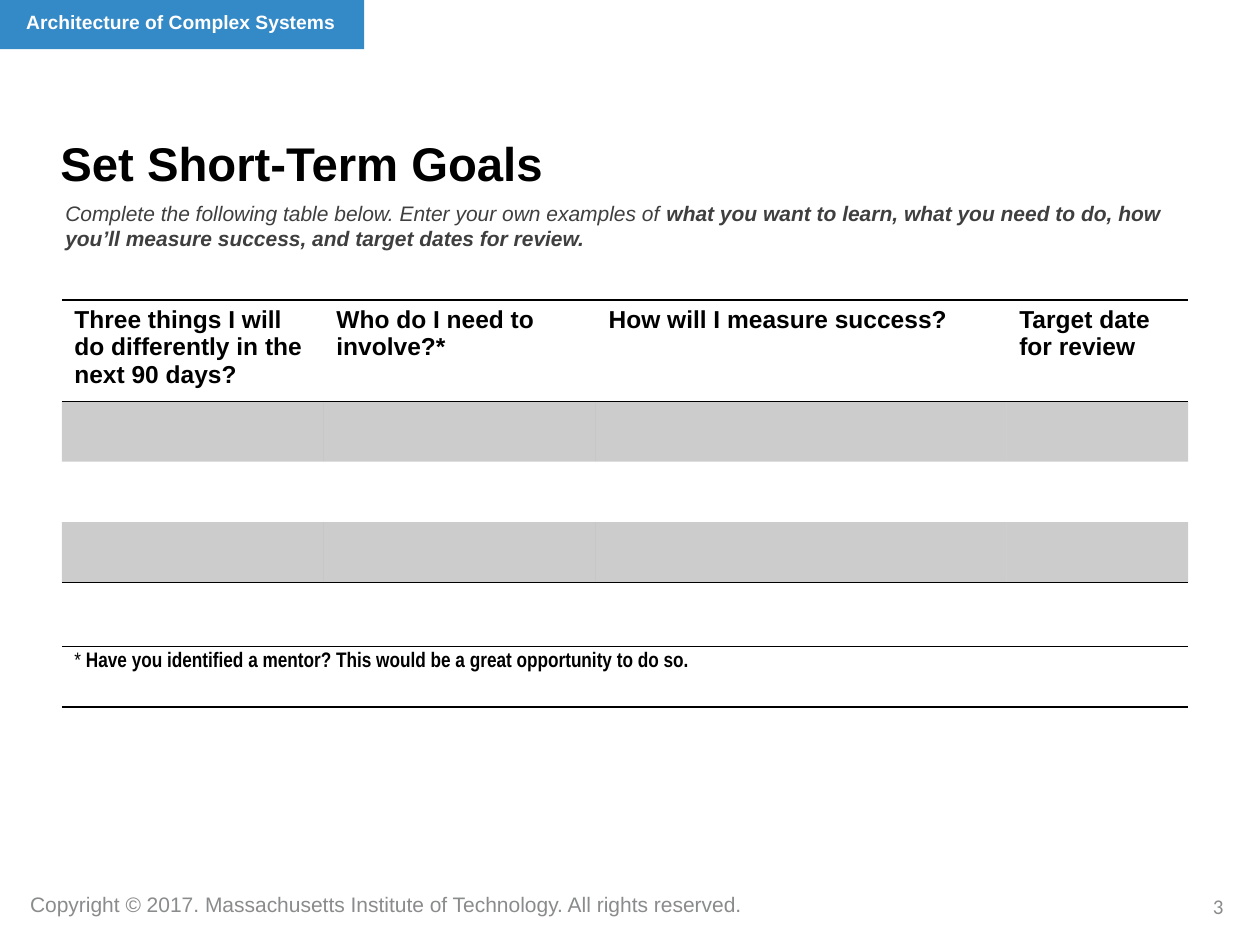
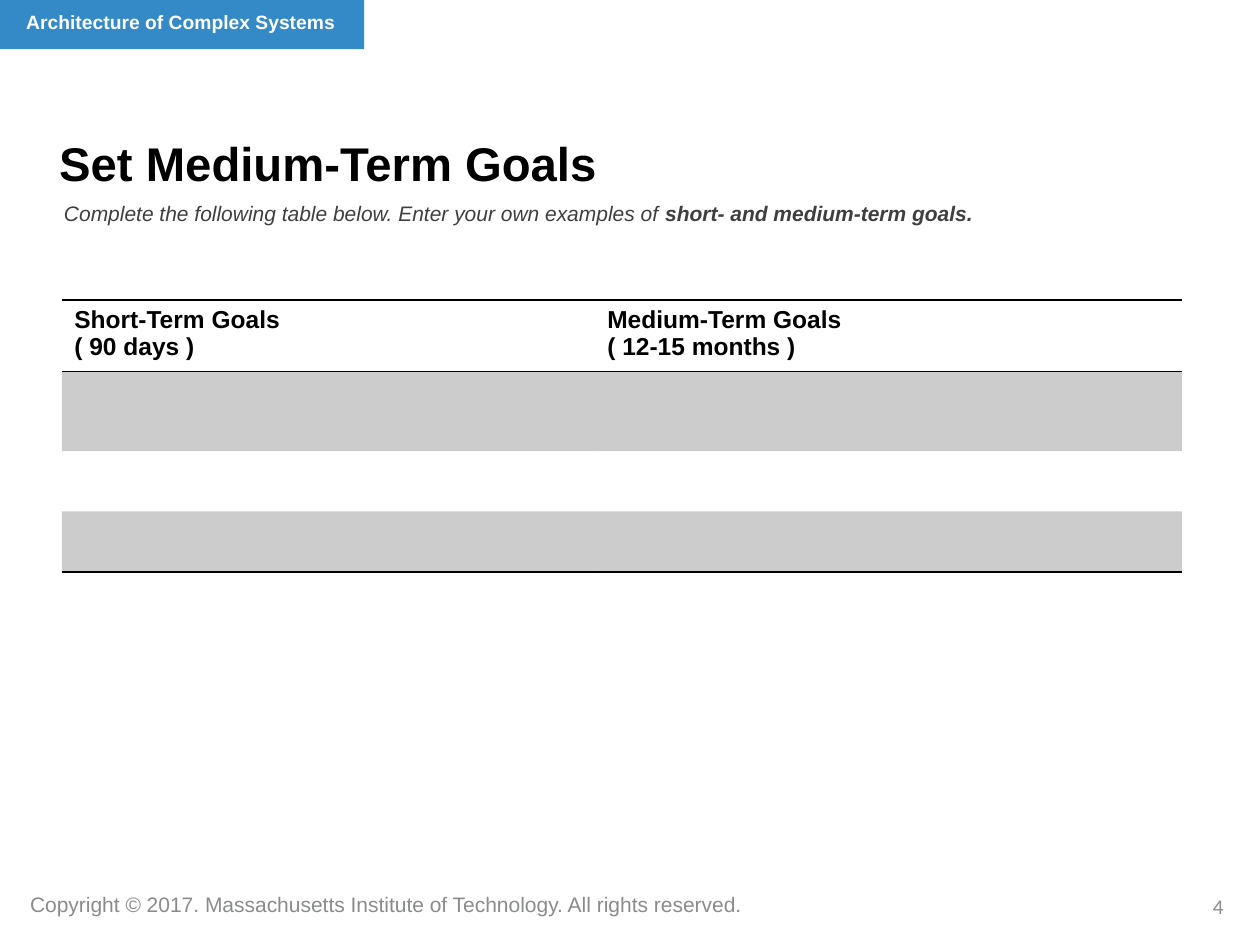
from pptx import Presentation
from pptx.dml.color import RGBColor as Rgb
from pptx.enum.shapes import MSO_SHAPE as Form
from pptx.enum.text import MSO_ANCHOR as Anchor, PP_ALIGN as Align
from pptx.oxml.ns import qn
from pptx.util import Inches, Pt
from lxml.etree import SubElement, Element

INK = {"band": "3489C7", "white": "FFFFFF", "black": "000000",
       "lead": "3F3F3F", "foot": "8A8B8C"}
PLAIN_STYLE = "{2D5ABB26-0587-4C30-8999-92F81FD0307C}"

# Grid of 100 columns by 75 rows over the slide
WIDE, HIGH = Inches(10), Inches(7.5)
COL, ROW = WIDE / 100, HIGH / 75
LEFT = 4.9
LINE = 4.8

COURSE = "Architecture of Complex Systems"
RIGHTS = "Copyright © 2017. Massachusetts Institute of Technology. All rights reserved."
LEAD = "Complete the following table below. Enter your own examples of "
MENTOR = "Have you identified a mentor? This would be a great opportunity to do so."


def place(box):
    x, y, w, h = box
    return int(x * COL), int(y * ROW), int(w * COL), int(h * ROW)


def add_run(para, text, size, ink, bold=False, italic=False, face="Arial"):
    run = para.add_run()
    run.text = text
    font = run.font
    font.name, font.size, font.bold, font.italic = face, Pt(size), bold, italic
    font.color.rgb = Rgb.from_string(INK[ink])


def add_text(slide, box):
    """Add a wrapped text box and return its first paragraph."""
    frame = slide.shapes.add_textbox(*place(box)).text_frame
    frame.word_wrap = True
    return frame.paragraphs[0]


def add_frame(slide, number):
    """Add the course band, the copyright line and the slide number."""
    band = slide.shapes.add_shape(Form.RECTANGLE, *place((-0.1, 0, 29, 3.9)))
    band.shadow.inherit = False
    band.fill.solid()
    band.fill.fore_color.rgb = Rgb.from_string(INK["band"])
    band.line.fill.background()
    add_run(add_text(slide, (1.1, 0.3, 27.9, 5.8)), COURSE, 11, "white", bold=True)
    add_run(add_text(slide, (1.4, 70.3, 59.6, 3)), RIGHTS, 12, "foot")
    page = add_text(slide, (74.8, 70.4, 23.3, 4))
    page.alignment = Align.RIGHT
    add_run(page, str(number), 12, "foot", face="Calibri")


def add_heading(slide, x, title, stress):
    head = slide.shapes.title
    head.left, head.top, head.width, head.height = place((x, 10, 85.1, 5.8))
    head.fill.solid()
    head.fill.fore_color.rgb = Rgb.from_string(INK["white"])
    head.text_frame.vertical_anchor = Anchor.MIDDLE
    para = head.text_frame.paragraphs[0]
    para.alignment = Align.LEFT
    add_run(para, title, 27, "black", bold=True)
    lead = add_text(slide, (x + 0.4, 15.4, 92.3, 4.9))
    add_run(lead, LEAD, 12, "lead", italic=True)
    add_run(lead, stress, 12, "lead", bold=True, italic=True)


def rule(cell, *sides):
    """Draw 1 pt black lines on the given sides, ahead of the cell's fill."""
    props = cell._tc.get_or_add_tcPr()
    for spot, side in enumerate(sides):
        line = Element(qn("a:ln" + side), w=str(Pt(1)))
        fill = SubElement(line, qn("a:solidFill"))
        SubElement(fill, qn("a:srgbClr"), val=INK["black"])
        props.insert(spot, line)


def shade(cell):
    """Fill the cell with black at 20 % opacity."""
    cell.fill.solid()
    cell.fill.fore_color.rgb = Rgb.from_string(INK["black"])
    tint = cell._tc.tcPr.find(".//" + qn("a:srgbClr"))
    SubElement(tint, qn("a:alpha"), val="20000")


def add_grid(slide, top, cols, rows):
    box = place((LEFT, top, sum(cols), sum(rows)))
    table = slide.shapes.add_table(len(rows), len(cols), *box).table
    table.horz_banding = False
    table._tbl.tblPr.find(qn("a:tableStyleId")).text = PLAIN_STYLE
    for col, size in zip(table.columns, cols):
        col.width = int(size * COL)
    for row, size in zip(table.rows, rows):
        row.height = int(size * ROW)
    for cell in table.iter_cells():
        cell.fill.background()
    return table


def add_goals(slide, heads, cols, rows):
    """Add a table with a ruled header and empty rows, every other one shaded."""
    table = add_grid(slide, 23.8, cols, rows)
    last = len(rows) - 1
    for c, head in enumerate(heads):
        para = table.cell(0, c).text_frame.paragraphs[0]
        for n, text in enumerate(head.split("\n")):
            if n:
                para.add_line_break()
            add_run(para, text, 14, "black", bold=True)
        for r in range(1, last + 1, 2):
            shade(table.cell(r, c))
        rule(table.cell(0, c), "T", "B")
        rule(table.cell(last, c), "B")


def add_mentor(slide, width):
    cell = add_grid(slide, 51.3, [width], [LINE]).cell(0, 0)
    para = cell.text_frame.paragraphs[0]
    add_run(para, "* ", 12, "black", face="Arial Narrow")
    add_run(para, MENTOR, 12, "black", bold=True, face="Arial Narrow")
    rule(cell, "T", "B")


def start(deck, number, x, title, stress):
    slide = deck.slides.add_slide(deck.slide_layouts.get_by_name("Title Only"))
    add_frame(slide, number)
    add_heading(slide, x, title, stress)
    return slide


def main():
    deck = Presentation()
    deck.slide_width, deck.slide_height = WIDE, HIGH

    short = start(deck, 3, 3.8, "Set Short-Term Goals",
                  "what you want to learn, what you need to do, how you’ll "
                  "measure success, and target dates for review.")
    cols = [20.8, 21.6, 32.6, 14.4]
    add_goals(short, ["Three things I will do differently in the next 90 days?",
                      "Who do I need to involve?*",
                      "How will I measure success?",
                      "Target date for review"],
              cols, [8.05, LINE, LINE, LINE])
    add_mentor(short, sum(cols))

    medium = start(deck, 4, 3.7, "Set Medium-Term Goals",
                   "short- and medium-term goals.")
    add_goals(medium, ["Short-Term Goals \n( 90 days )",
                       "Medium-Term Goals \n( 12-15 months )"],
              [42.3, 46.6], [5.7, 6.3, LINE, LINE])

    deck.save("out.pptx")


if __name__ == "__main__":
    main()
